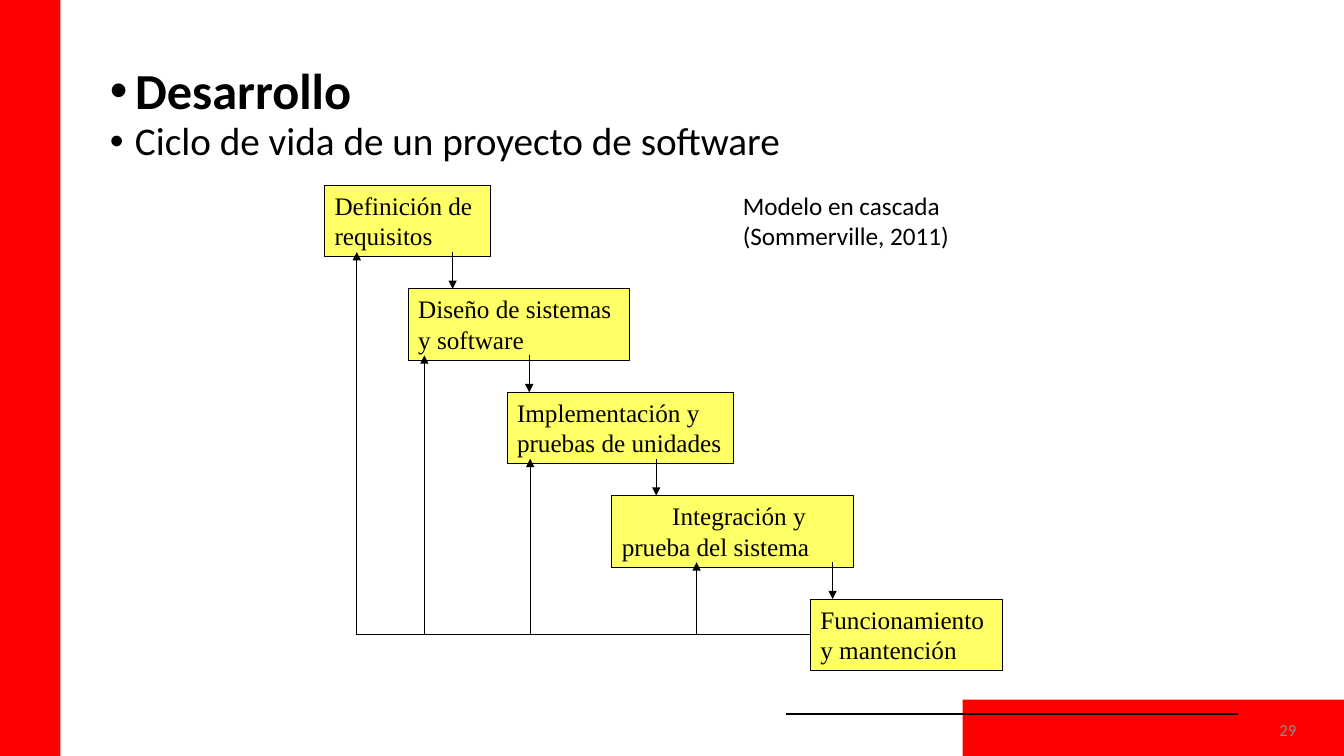
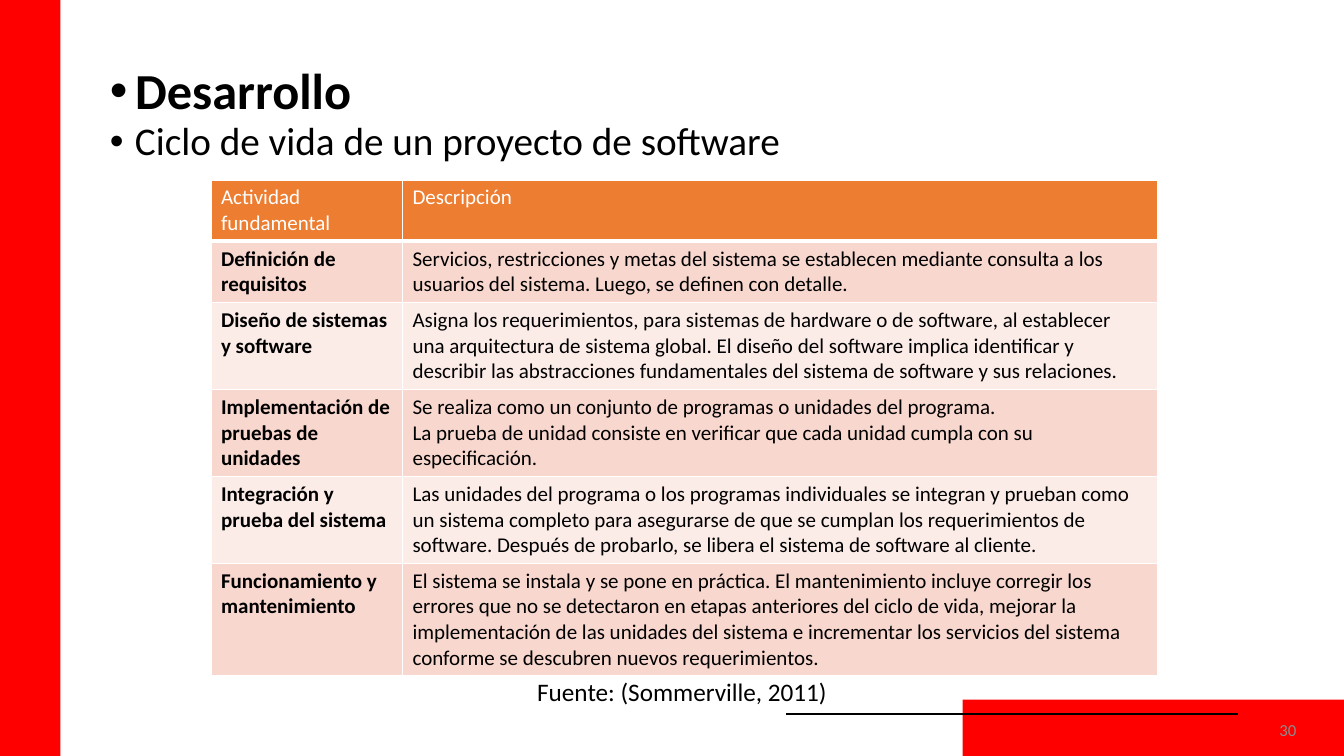
from dataclasses import dataclass
from itertools import pairwise
from typing import NamedTuple

from lxml.etree import SubElement
from pptx import Presentation
from pptx.dml.color import RGBColor
from pptx.enum.shapes import MSO_CONNECTOR, MSO_SHAPE
from pptx.enum.text import MSO_ANCHOR, MSO_AUTO_SIZE, PP_ALIGN
from pptx.oxml.ns import qn
from pptx.shapes.autoshape import Shape
from pptx.shapes.connector import Connector
from pptx.slide import Slide
from pptx.table import _Cell
from pptx.text.text import TextFrame, _Paragraph
from pptx.util import Emu, Inches, Pt

SLIDE_WIDTH = Inches(13.333)
SLIDE_HEIGHT = Inches(7.5)


class TextStyle(NamedTuple):
    size: float
    color: str = "000000"
    font: str = "Calibri"
    bold: bool = False


@dataclass(frozen=True)
class Theme:
    band: str = "FF0000"
    ink: str = "000000"
    stage_fill: str = "FFFF66"
    header_fill: str = "ED7D31"
    row_fills: tuple[str, str] = ("F8D7CE", "FCECE8")
    border: str = "FFFFFF"
    title: TextStyle = TextStyle(36, bold=True)
    subtitle: TextStyle = TextStyle(28)
    note: TextStyle = TextStyle(18)
    stage: TextStyle = TextStyle(18, font="Times New Roman")
    page: TextStyle = TextStyle(12, "8C8C8C")
    header: TextStyle = TextStyle(15, "FFFFFF")
    activity: TextStyle = TextStyle(15, bold=True)
    description: TextStyle = TextStyle(15)


THEME = Theme()


class Point(NamedTuple):
    """Percentages of the slide's width and height."""

    x: float
    y: float


class Box(NamedTuple):
    """Percentages of the slide's width and height."""

    left: float
    top: float
    width: float
    height: float


class Stage(NamedTuple):
    lines: tuple[str, str]
    left: float
    width: float
    down_x: float | None = None
    return_x: float | None = None
    first_indent: float = 0


class Activity(NamedTuple):
    name: str
    description: tuple[str, ...]
    line_count: int


LEFT_BAND = Box(0, 0, 4.5, 100)
BOTTOM_BAND = Box(71.63, 92.53, 28.37, 7.47)
RULE_START, RULE_END = Point(92.1, 94.44), Point(58.5, 94.44)
PAGE_BOX = Box(74.7, 93.87, 22.5, 5.33)
TITLE_BOX = Box(7.43, 4, 45, 16.67)
SUBTITLE_BOX = Box(7.43, 15.47, 66.23, 9.33)
MODEL_BOX = Box(54.53, 24.53, 17.93, 9.47)
SOURCE_BOX = Box(39.23, 88.8, 23.33, 5.33)

STAGE_TOP, STAGE_PITCH, STAGE_HEIGHT = 24.53, 13.68, 9.47
ARROW_OFFSET = 8.8
STAGES = (
    Stage(("Definición de", "requisitos"), 24.15, 12.38, 33.68, 26.55),
    Stage(("Diseño de sistemas", "y software"), 30.38, 16.5, 39.38, 31.58),
    Stage(("Implementación y", "pruebas de unidades"), 37.73, 16.88, 48.83, 39.45),
    Stage(("Integración y", "prueba del sistema"), 45.53, 18, 61.95, 51.83, 0.5),
    Stage(("Funcionamiento", "y mantención"), 60.3, 14.33),
)

TABLE_LEFT, TABLE_TOP = 15.7, 23.8
COLUMN_WIDTHS = (14.25, 56.18)
LINE_HEIGHT, CELL_PADDING = 3.39, 1.33
ACTIVITIES = (
    Activity("Actividad fundamental", ("Descripción",), 2),
    Activity(
        "Definición de requisitos",
        ("Servicios, restricciones y metas del sistema se establecen mediante "
         "consulta a los usuarios del sistema. Luego, se definen con detalle.",),
        2,
    ),
    Activity(
        "Diseño de sistemas y software",
        ("Asigna los requerimientos, para sistemas de hardware o de software, al "
         "establecer una arquitectura de sistema global. El diseño del software "
         "implica identificar y describir las abstracciones fundamentales del "
         "sistema de software y sus relaciones.",),
        3,
    ),
    Activity(
        "Implementación de pruebas de unidades",
        ("Se realiza como un conjunto de programas o unidades del programa.",
         "La prueba de unidad consiste en verificar que cada unidad cumpla con "
         "su especificación."),
        3,
    ),
    Activity(
        "Integración y prueba del sistema",
        ("Las unidades del programa o los programas individuales se integran y "
         "prueban como un sistema completo para asegurarse de que se cumplan los "
         "requerimientos de software. Después de probarlo, se libera el sistema "
         "de software al cliente.",),
        3,
    ),
    Activity(
        "Funcionamiento y mantenimiento",
        ("El sistema se instala y se pone en práctica. El mantenimiento incluye "
         "corregir los errores que no se detectaron en etapas anteriores del "
         "ciclo de vida, mejorar la implementación de las unidades del sistema e "
         "incrementar los servicios del sistema conforme se descubren nuevos "
         "requerimientos.",),
        4,
    ),
)


def across(share: float) -> Emu:
    return Emu(round(SLIDE_WIDTH * share / 100))


def down(share: float) -> Emu:
    return Emu(round(SLIDE_HEIGHT * share / 100))


def frame(box: Box) -> tuple[Emu, Emu, Emu, Emu]:
    return across(box.left), down(box.top), across(box.width), down(box.height)


def write(text_frame: TextFrame, text: str, style: TextStyle,
          anchor: MSO_ANCHOR = MSO_ANCHOR.TOP,
          alignment: PP_ALIGN = PP_ALIGN.LEFT) -> None:
    text_frame.text = text
    text_frame.word_wrap = True
    text_frame.vertical_anchor = anchor
    for paragraph in text_frame.paragraphs:
        paragraph.alignment = alignment
        for run in paragraph.runs:
            run.font.size = Pt(style.size)
            run.font.name = style.font
            run.font.bold = style.bold
            run.font.color.rgb = RGBColor.from_string(style.color)


def add_text(slide: Slide, box: Box, text: str, style: TextStyle,
             anchor: MSO_ANCHOR = MSO_ANCHOR.TOP,
             alignment: PP_ALIGN = PP_ALIGN.LEFT) -> Shape:
    shape = slide.shapes.add_textbox(*frame(box))
    write(shape.text_frame, text, style, anchor, alignment)
    return shape


def add_bullet(paragraph: _Paragraph) -> None:
    properties = paragraph._p.get_or_add_pPr()
    properties.set("marL", str(Inches(0.25)))
    properties.set("indent", str(-Inches(0.25)))
    SubElement(properties, qn("a:buFont")).set("typeface", "Arial")
    SubElement(properties, qn("a:buChar")).set("char", "•")
    paragraph.line_spacing = 0.9


def add_rectangle(shapes, box: Box, fill: str, outline: str | None = None) -> Shape:
    shape = shapes.add_shape(MSO_SHAPE.RECTANGLE, *frame(box))
    shape.shadow.inherit = False
    shape.fill.solid()
    shape.fill.fore_color.rgb = RGBColor.from_string(fill)
    if outline:
        shape.line.color.rgb = RGBColor.from_string(outline)
        shape.line.width = Pt(0.75)
    else:
        shape.line.fill.background()
    return shape


def add_line(shapes, start: Point, end: Point, width: float = 0.75,
             arrow: bool = False) -> Connector:
    line = shapes.add_connector(MSO_CONNECTOR.STRAIGHT, across(start.x),
                                down(start.y), across(end.x), down(end.y))
    line.line.color.rgb = RGBColor.from_string(THEME.ink)
    line.line.width = Pt(width)
    if arrow:
        SubElement(line.line._get_or_add_ln(), qn("a:tailEnd")).set("type", "triangle")
    SubElement(line._element.spPr, qn("a:effectLst"))
    return line


def add_base_slide(presentation: Presentation, page: int) -> Slide:
    slide = presentation.slides.add_slide(presentation.slide_layouts[5])
    for band in (LEFT_BAND, BOTTOM_BAND):
        add_rectangle(slide.shapes, band, THEME.band)
    add_line(slide.shapes, RULE_START, RULE_END, 1.5)
    add_text(slide, PAGE_BOX, str(page), THEME.page, MSO_ANCHOR.MIDDLE, PP_ALIGN.RIGHT)
    title = slide.shapes.title
    title.left, title.top, title.width, title.height = frame(TITLE_BOX)
    write(title.text_frame, "Desarrollo", THEME.title, MSO_ANCHOR.MIDDLE)
    title.text_frame.auto_size = MSO_AUTO_SIZE.NONE
    subtitle = add_text(slide, SUBTITLE_BOX, "Ciclo de vida de un proyecto de software",
                        THEME.subtitle)
    for shape in (title, subtitle):
        add_bullet(shape.text_frame.paragraphs[0])
    return slide


def add_cascade(slide: Slide) -> None:
    shapes = slide.shapes.add_group_shape().shapes
    tops = [STAGE_TOP + index * STAGE_PITCH for index in range(len(STAGES))]
    for stage, top in zip(STAGES, tops):
        rectangle = add_rectangle(shapes, Box(stage.left, top, stage.width, STAGE_HEIGHT),
                                  THEME.stage_fill, THEME.ink)
        write(rectangle.text_frame, "\n".join(stage.lines), THEME.stage)
        if stage.first_indent:
            properties = rectangle.text_frame.paragraphs[0]._p.get_or_add_pPr()
            properties.set("indent", str(Inches(stage.first_indent)))
    return_y = tops[-1] + STAGE_HEIGHT / 2
    return_line = add_line(shapes, Point(STAGES[-1].left, return_y),
                           Point(STAGES[0].return_x, return_y))
    return_line.begin_connect(rectangle, 1)
    for stage, (top, next_top) in zip(STAGES, pairwise(tops)):
        arrow_y = top + ARROW_OFFSET
        add_line(shapes, Point(stage.down_x, arrow_y), Point(stage.down_x, next_top),
                 arrow=True)
        add_line(shapes, Point(stage.return_x, return_y), Point(stage.return_x, arrow_y),
                 arrow=True)


def format_cell(cell: _Cell, fill: str, bottom_width: float) -> None:
    properties = cell._tc.get_or_add_tcPr()
    for side in ("L", "R", "T", "B"):
        border = SubElement(properties, qn(f"a:ln{side}"))
        border.set("w", str(Pt(bottom_width if side == "B" else 1)))
        color = SubElement(SubElement(border, qn("a:solidFill")), qn("a:srgbClr"))
        color.set("val", THEME.border)
    cell.fill.solid()
    cell.fill.fore_color.rgb = RGBColor.from_string(fill)


def add_activity_table(slide: Slide) -> None:
    heights = [activity.line_count * LINE_HEIGHT + CELL_PADDING for activity in ACTIVITIES]
    box = Box(TABLE_LEFT, TABLE_TOP, sum(COLUMN_WIDTHS), sum(heights))
    table = slide.shapes.add_table(len(ACTIVITIES), len(COLUMN_WIDTHS), *frame(box)).table
    for column, width in zip(table.columns, COLUMN_WIDTHS):
        column.width = across(width)
    for index, (activity, height) in enumerate(zip(ACTIVITIES, heights)):
        table.rows[index].height = down(height)
        is_header = index == 0
        fill = THEME.header_fill if is_header else THEME.row_fills[(index - 1) % 2]
        styles = (THEME.header,) * 2 if is_header else (THEME.activity, THEME.description)
        texts = (activity.name, "\n".join(activity.description))
        for cell, text, style in zip(table.rows[index].cells, texts, styles):
            write(cell.text_frame, text, style)
            format_cell(cell, fill, 3 if is_header else 1)


def main() -> None:
    presentation = Presentation()
    presentation.slide_width = SLIDE_WIDTH
    presentation.slide_height = SLIDE_HEIGHT
    cascade_slide = add_base_slide(presentation, 29)
    add_cascade(cascade_slide)
    add_text(cascade_slide, MODEL_BOX, "Modelo en cascada (Sommerville, 2011)", THEME.note)
    table_slide = add_base_slide(presentation, 30)
    add_activity_table(table_slide)
    add_text(table_slide, SOURCE_BOX, "Fuente: (Sommerville, 2011)", THEME.note)
    presentation.save("out.pptx")


if __name__ == "__main__":
    main()
